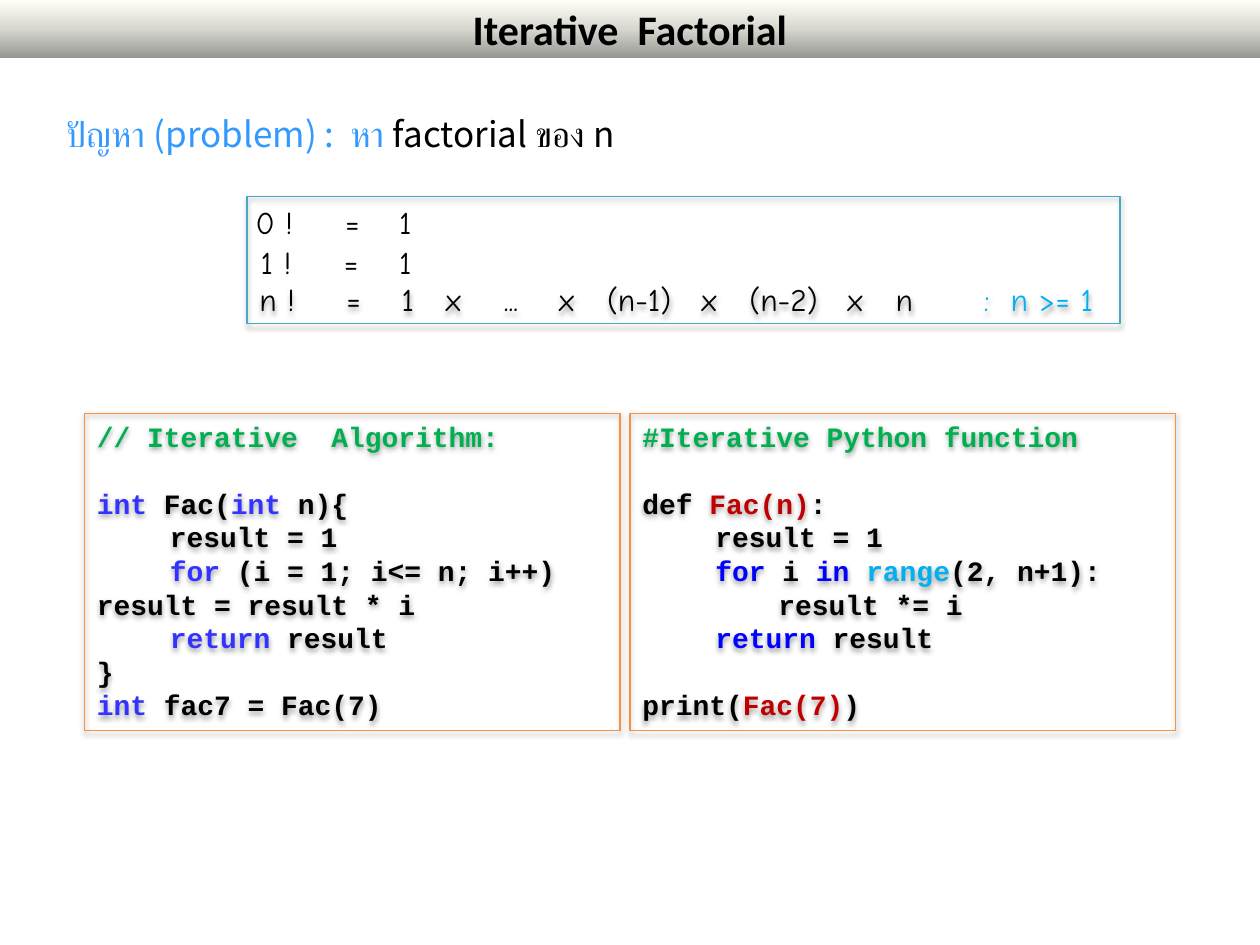
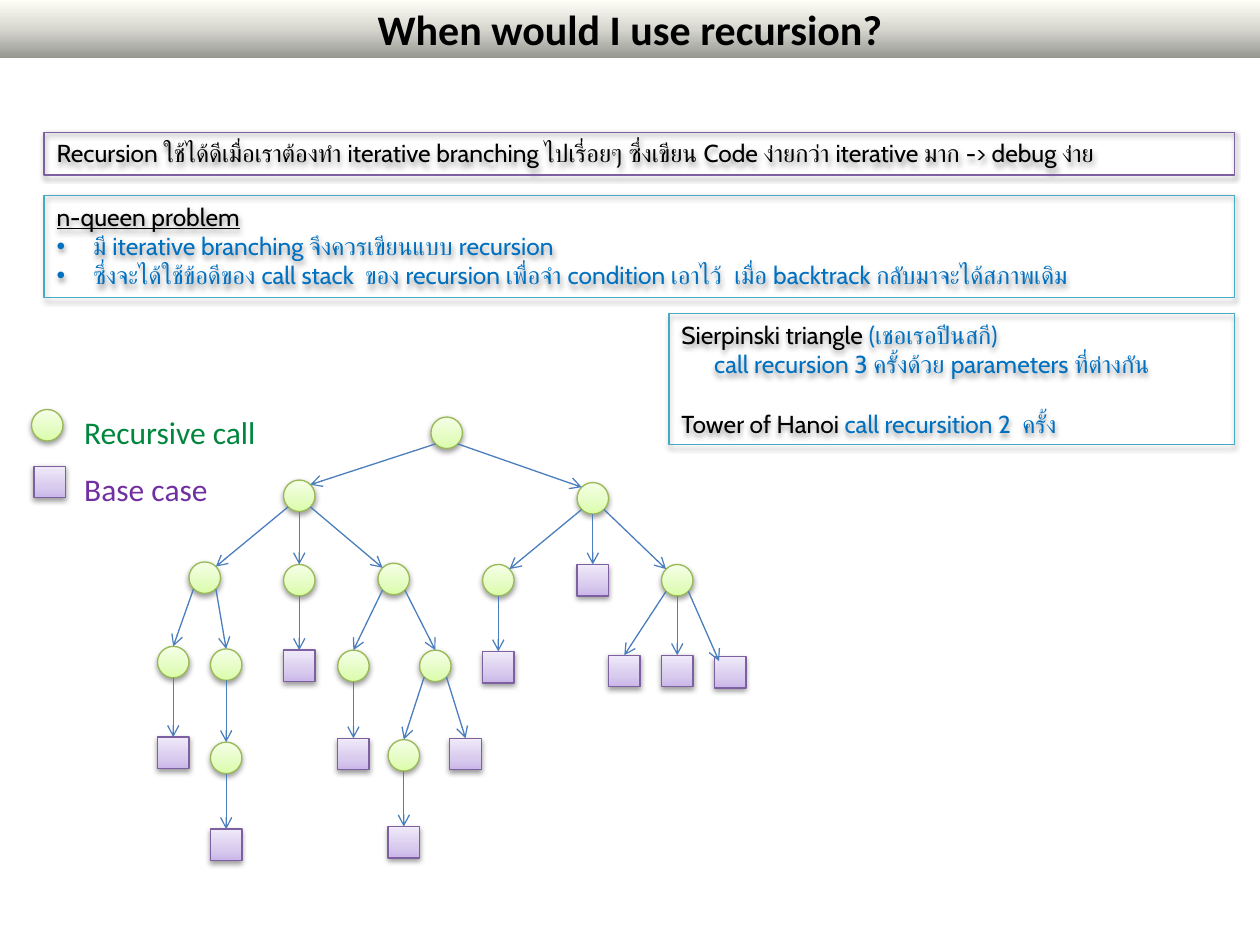
from dataclasses import dataclass
from math import sqrt

from lxml.etree import SubElement
from pptx import Presentation
from pptx.dml.color import RGBColor
from pptx.enum.shapes import MSO_CONNECTOR as CONNECTOR, MSO_SHAPE as SHAPE
from pptx.enum.text import MSO_ANCHOR as ANCHOR, PP_ALIGN as ALIGN
from pptx.oxml import parse_xml
from pptx.oxml.ns import nsdecls, qn
from pptx.util import Inches, Pt

BLACK = RGBColor(0x00, 0x00, 0x00)
SKY = RGBColor(0x33, 0x99, 0xFF)
CYAN = RGBColor(0x00, 0xB0, 0xF0)
BLUE = RGBColor(0x00, 0x70, 0xC0)
COMMENT = RGBColor(0x00, 0xB0, 0x50)
C_KEYWORD = RGBColor(0x33, 0x33, 0xFF)
PY_KEYWORD = RGBColor(0x00, 0x00, 0xFF)
RED = RGBColor(0xC0, 0x00, 0x00)
GREEN = RGBColor(0x00, 0x86, 0x3D)
VIOLET = RGBColor(0x70, 0x30, 0xA0)
ORANGE_EDGE = RGBColor(0xF6, 0x92, 0x40)
TEAL_EDGE = RGBColor(0x46, 0xAA, 0xC5)
PURPLE_EDGE = RGBColor(0x7D, 0x60, 0xA0)
LIME_EDGE = RGBColor(0x98, 0xB9, 0x55)
ARROW = RGBColor(0x4B, 0x7E, 0xBC)

BAND_FILL = ((0, "979792"), (50, "D7D7D0"), (100, "FFFFF7"))
LIME_FILL = ((0, "DAFDA7"), (35, "E4FCC2"), (100, "F5FFE7"))
PURPLE_FILL = ((0, "C9B5E8"), (35, "D8CBEE"), (100, "F0EAF9"))


@dataclass
class Line:
    runs: tuple
    indent: float = 0
    gap: float = 0
    tabs: tuple = ()
    bullet: bool = False
    underline: bool = False


@dataclass
class Style:
    font: str
    size: int
    bold: bool = False
    spacing: float = 1.0
    align: ALIGN = ALIGN.LEFT


TITLE = Style("Calibri", 24, bold=True, align=ALIGN.CENTER)
PROBLEM = Style("Noto Sans CJK JP", 20, spacing=1.5)
FORMULA = Style("Comic Neue", 18)
CODE = Style("Courier New", 16, bold=True)
NOTE = Style("Cabin", 14)
LEGEND = Style("Calibri", 18, spacing=1.5)

CODE_GAP, NOTE_GAP = 19, 17
STEP = 0.58

FACTORIAL_TITLE = "Iterative  Factorial"
PROBLEM_LINES = [Line((("ปัญหา (problem) :  หา ", SKY), ("factorial ของ n", BLACK)))]
BASE_FORMULAS = [
    ((1.93, 1.56, 1.49, 0.4), "0 !\t=\t1", (0.71, 1.14)),
    ((1.97, 1.88, 1.45, 0.4), "1 !\t=\t1", (0.66, 1.1)),
]
GENERAL_FORMULA = [Line(
    (("n !\t=\t1\tx\t...\tx\t(n-1)\tx\t(n-2)\tx\tn\t", BLACK), (":  n >= 1", CYAN)),
    tabs=(0.69, 1.13, 1.48, 1.94, 2.38, 2.76, 3.51, 3.89, 4.67, 5.05, 5.75))]

ALGORITHM = [
    Line((("// Iterative  Algorithm:", COMMENT),)),
    Line((("int", C_KEYWORD), (" Fac(", BLACK), ("int", C_KEYWORD), (" n){", BLACK)), gap=CODE_GAP),
    Line((("result = 1", BLACK),), STEP),
    Line((("for", C_KEYWORD), (" (i = 1; i<= n; i++)", BLACK)), STEP),
    Line((("result = result * i", BLACK),)),
    Line((("return", C_KEYWORD), (" result", BLACK)), STEP),
    Line((("}", BLACK),)),
    Line((("int", C_KEYWORD), (" fac7 = Fac(7)", BLACK))),
]
PYTHON_FUNCTION = [
    Line((("#Iterative Python function", COMMENT),)),
    Line((("def ", BLACK), ("Fac(n)", RED), (":", BLACK)), gap=CODE_GAP),
    Line((("result = 1", BLACK),), STEP),
    Line((("for ", PY_KEYWORD), ("i ", BLACK), ("in ", PY_KEYWORD), ("range", CYAN),
          ("(2, n+1):", BLACK)), STEP),
    Line((("result *= i", BLACK),), 1.08),
    Line((("return", PY_KEYWORD), (" result", BLACK)), STEP),
    Line((("print(", BLACK), ("Fac(7)", RED), (")", BLACK)), gap=CODE_GAP),
]

RECURSION_TITLE = "When would I use recursion?"
WHEN_TO_USE = [Line(((
    "Recursion ใช้ได้ดีเมื่อเราต้องทำ iterative branching ไปเรี่อยๆ "
    "ซึ่งเขียน Code ง่ายกว่า iterative มาก -> debug ง่าย", BLACK),))]
QUEENS = [
    Line((("n-queen problem", BLACK),), underline=True),
    Line((("มี iterative branching จึงควรเขียนแบบ recursion", BLUE),), 0.29, bullet=True),
    Line((("ซึ่งจะได้ใช้ข้อดีของ call stack  ของ recursion เพื่อจำ condition เอาไว้  "
           "เมื่อ backtrack กลับมาจะได้สภาพเดิม", BLUE),), 0.29, bullet=True),
]
EXAMPLES = [
    Line((("Sierpinski triangle ", BLACK), ("(เชอเรอปีนสกี)", BLUE))),
    Line((("call recursion 3 ครั้งด้วย parameters ที่ต่างกัน", BLUE),), 0.26),
    Line((("Tower of Hanoi ", BLACK), ("call recursition 2  ครั้ง", BLUE)), gap=NOTE_GAP),
]
LEGEND_LINES = [Line((("Recursive call", GREEN),)), Line((("Base case", VIOLET),))]

CALL = (SHAPE.OVAL, LIME_FILL, LIME_EDGE)
BASE = (SHAPE.RECTANGLE, PURPLE_FILL, PURPLE_EDGE)
LEGEND_MARKS = [(CALL, 0.25, 3.25), (BASE, 0.27, 3.7)]
CALL_TREE = (CALL, 3.42, 3.31, [
    (CALL, 2.25, 3.81, [
        (CALL, 1.5, 4.46, [
            (CALL, 1.25, 5.13, [(BASE, 1.25, 5.85, [])]),
            (CALL, 1.67, 5.15, [(CALL, 1.67, 5.89, [(BASE, 1.67, 6.58, [])])]),
        ]),
        (CALL, 2.25, 4.48, [(BASE, 2.25, 5.16, [])]),
        (CALL, 3, 4.47, [
            (CALL, 2.68, 5.16, [(BASE, 2.68, 5.86, [])]),
            (CALL, 3.33, 5.16, [
                (CALL, 3.08, 5.87, [(BASE, 3.08, 6.56, [])]),
                (BASE, 3.57, 5.86, []),
            ]),
        ]),
    ]),
    (CALL, 4.58, 3.83, [
        (CALL, 3.83, 4.48, [(BASE, 3.83, 5.17, [])]),
        (BASE, 4.58, 4.48, []),
        (CALL, 5.25, 4.48, [
            (BASE, 4.83, 5.2, []),
            (BASE, 5.25, 5.2, []),
            (BASE, 5.67, 5.21, []),
        ]),
    ]),
])
NODE = 0.25
RADIUS = NODE / 2
DIAGONAL = RADIUS / sqrt(2)
LEFT_REACH, RIGHT_REACH = -0.5, 0.4


def place(*lengths):
    return [Inches(length) for length in lengths]


def write(frame, lines, style, anchor=ANCHOR.TOP):
    frame.word_wrap = True
    frame.vertical_anchor = anchor
    for number, line in enumerate(lines):
        paragraph = frame.add_paragraph() if number else frame.paragraphs[0]
        paragraph.alignment = style.align
        paragraph.line_spacing = style.spacing
        paragraph.space_before = Pt(line.gap)
        paragraph.font.name = style.font
        paragraph.font.size = Pt(style.size)
        paragraph.font.bold = style.bold
        paragraph.font.underline = line.underline
        for text, color in line.runs:
            run = paragraph.add_run()
            run.text = text
            run.font.color.rgb = color
        layout = paragraph._p.get_or_add_pPr()
        defaults = layout.find(qn("a:defRPr"))
        if line.indent:
            layout.set("marL", str(Inches(line.indent)))
            layout.set("indent", str(-Inches(line.indent) if line.bullet else 0))
        if line.bullet:
            defaults.addprevious(parse_xml(f'<a:buFont {nsdecls("a")} typeface="Arial"/>'))
            defaults.addprevious(parse_xml(f'<a:buChar {nsdecls("a")} char="•"/>'))
        if line.tabs:
            stops = "".join(f'<a:tab pos="{Inches(stop)}" algn="l"/>' for stop in line.tabs)
            defaults.addprevious(parse_xml(f'<a:tabLst {nsdecls("a")}>{stops}</a:tabLst>'))


def add_text(shapes, box, lines, style):
    write(shapes.add_textbox(*place(*box)).text_frame, lines, style)


def add_plain(shapes, preset, box, gradient=None):
    shape = shapes.add_shape(preset, *place(*box))
    shape.shadow.inherit = False
    shape.line.fill.background()
    shape.fill.background()
    if gradient:
        stops = "".join(f'<a:gs pos="{position * 1000}"><a:srgbClr val="{color}"/></a:gs>'
                        for position, color in gradient)
        properties = shape.element.spPr
        properties.replace(properties.find(qn("a:noFill")), parse_xml(
            f'<a:gradFill {nsdecls("a")} rotWithShape="1"><a:gsLst>{stops}</a:gsLst>'
            '<a:lin ang="16200000" scaled="0"/></a:gradFill>'))
    return shape


def add_shadowed(shapes, preset, box, edge, gradient=None):
    shape = add_plain(shapes, preset, box, gradient)
    shape.line.color.rgb = edge
    shape.line.width = Pt(0.75)
    shape.element.spPr.find(qn("a:effectLst")).append(parse_xml(
        f'<a:outerShdw {nsdecls("a")} blurRad="{Pt(3.1)}" dist="{Pt(1.6)}" dir="5400000" '
        'rotWithShape="0"><a:srgbClr val="000000"><a:alpha val="38000"/></a:srgbClr></a:outerShdw>'))
    return shape


def add_panel(slide, box, edge, lines, style, anchor=ANCHOR.TOP):
    panel = add_shadowed(slide.shapes, SHAPE.RECTANGLE, box, edge)
    write(panel.text_frame, lines, style, anchor)


def add_slide(deck, title):
    slide = deck.slides.add_slide(deck.slide_layouts[6])
    band = add_plain(slide.shapes, SHAPE.RECTANGLE, (0, 0, 10, 0.46), BAND_FILL)
    write(band.text_frame, [Line(((title, BLACK),))], TITLE, ANCHOR.MIDDLE)
    return slide


def add_node(shapes, kind, left, top):
    preset, gradient, edge = kind
    return add_shadowed(shapes, preset, (left, top, NODE, NODE), edge, gradient)


def add_arrow(shapes, parent, child, child_node):
    (_, left, top, _), (_, child_left, child_top, _) = parent, child
    shift = child_left - left
    side = (shift > 0) - (shift < 0)
    start_x = left + RADIUS + side * DIAGONAL
    start_y = top + RADIUS + (DIAGONAL if side else RADIUS)
    corner = shift < LEFT_REACH or shift > RIGHT_REACH
    end_x = child_left + RADIUS - (side * DIAGONAL if corner else 0)
    end_y = child_top + (RADIUS - DIAGONAL if corner else 0)
    arrow = shapes.add_connector(CONNECTOR.STRAIGHT, *place(start_x, start_y, end_x, end_y))
    if not corner:
        arrow.end_connect(child_node, 0)
    arrow.line.color.rgb = ARROW
    arrow.line.width = Pt(0.75)
    properties = arrow.element.spPr
    SubElement(properties.find(qn("a:ln")), qn("a:tailEnd"), type="arrow")
    SubElement(properties, qn("a:effectLst"))


def add_tree(shapes, branch):
    kind, left, top, children = branch
    node = add_node(shapes, kind, left, top)
    for child in children:
        add_arrow(shapes, branch, child, add_tree(shapes, child))
    return node


def build_factorial(deck):
    slide = add_slide(deck, FACTORIAL_TITLE)
    add_text(slide.shapes, (0.43, 0.68, 7.4, 0.54), PROBLEM_LINES, PROBLEM)
    add_panel(slide, (0.67, 3.28, 4.25, 2.52), ORANGE_EDGE, ALGORITHM, CODE)
    add_panel(slide, (5, 3.28, 4.33, 2.52), ORANGE_EDGE, PYTHON_FUNCTION, CODE)
    add_panel(slide, (1.96, 1.56, 6.93, 1.01), TEAL_EDGE, GENERAL_FORMULA, FORMULA, ANCHOR.BOTTOM)
    for box, formula, tabs in BASE_FORMULAS:
        add_text(slide.shapes, box, [Line(((formula, BLACK),), tabs=tabs)], FORMULA)


def build_recursion(deck):
    slide = add_slide(deck, RECURSION_TITLE)
    add_panel(slide, (0.35, 1.05, 9.45, 0.34), PURPLE_EDGE, WHEN_TO_USE, NOTE)
    add_tree(slide.shapes.add_group_shape().shapes, CALL_TREE)
    legend = slide.shapes.add_group_shape().shapes
    for mark in LEGEND_MARKS:
        add_node(legend, *mark)
    add_text(legend, (0.57, 3.08, 1.83, 1.01), LEGEND_LINES, LEGEND)
    add_panel(slide, (5.31, 2.49, 4.49, 1.04), TEAL_EDGE, EXAMPLES, NOTE)
    add_panel(slide, (0.35, 1.55, 9.45, 0.81), TEAL_EDGE, QUEENS, NOTE)


def main():
    deck = Presentation()
    deck.slide_width, deck.slide_height = place(10, 7.5)
    build_factorial(deck)
    build_recursion(deck)
    deck.save("out.pptx")


if __name__ == "__main__":
    main()
